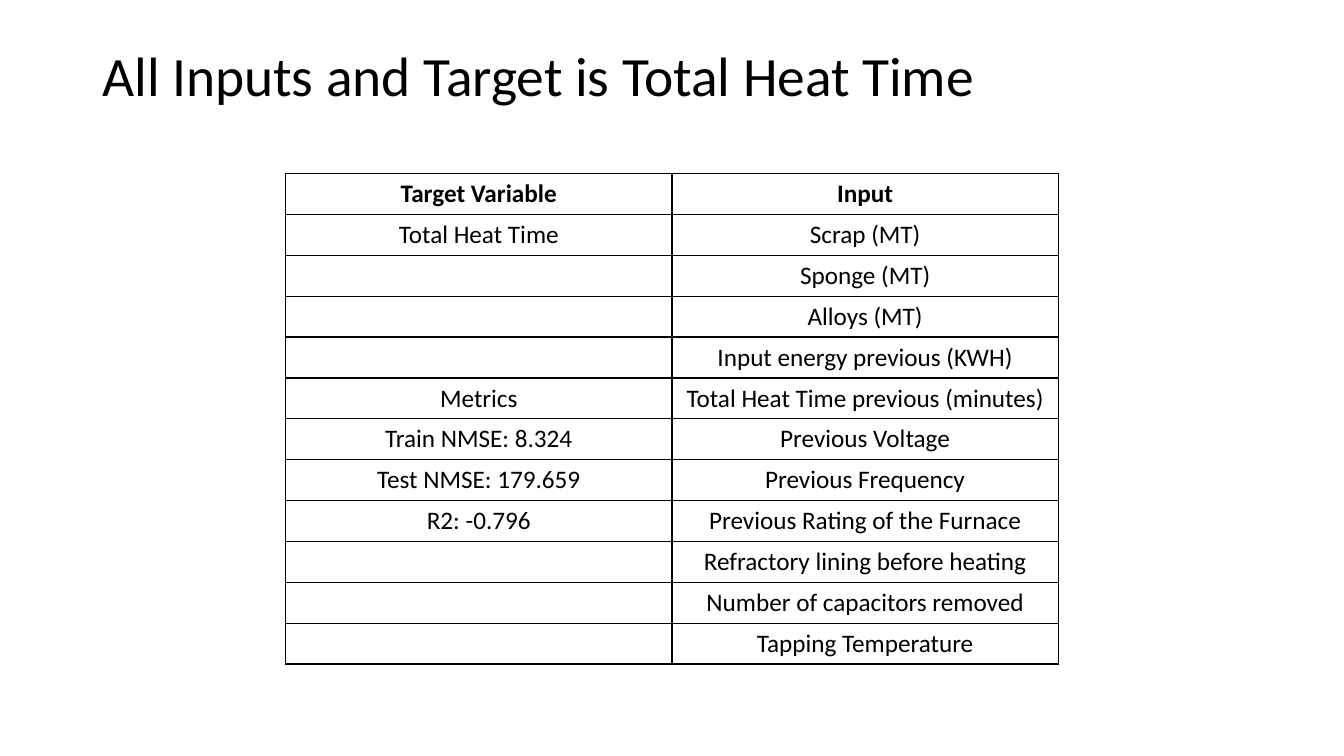
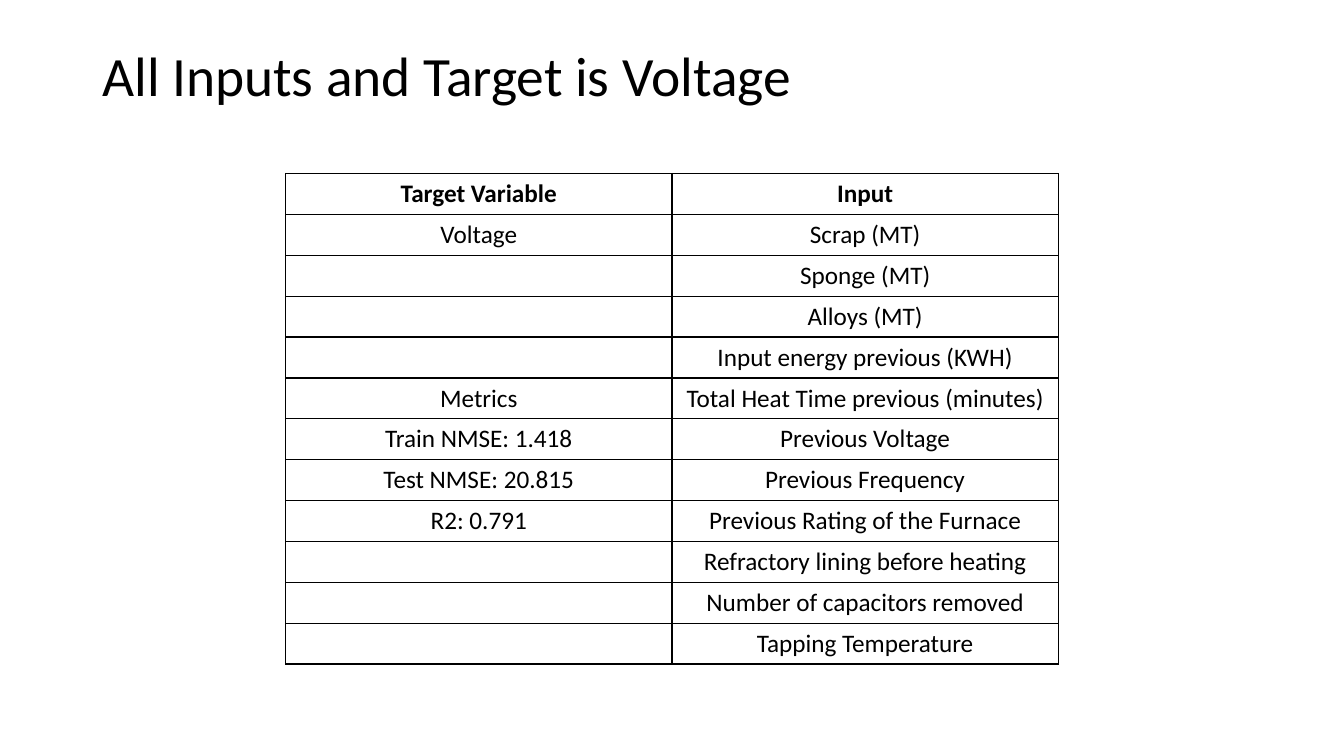
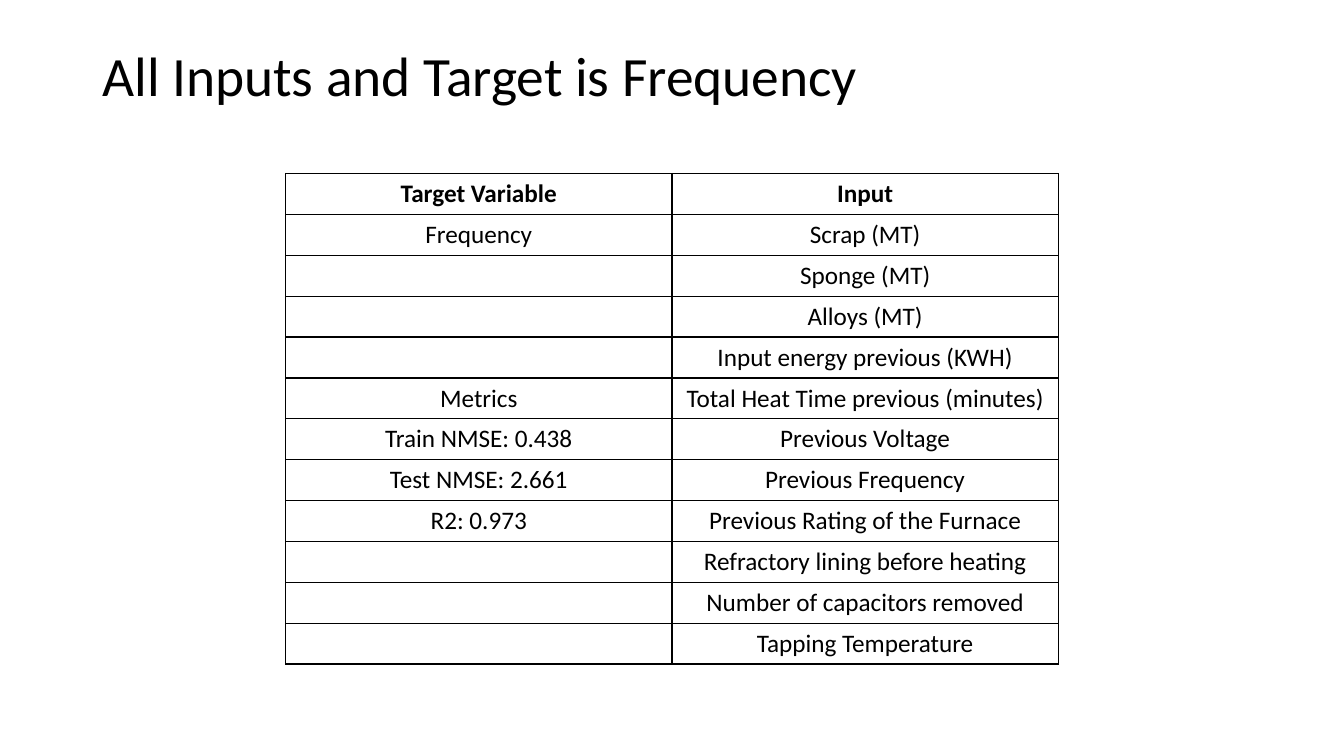
from itertools import zip_longest

from lxml.etree import SubElement
from pptx import Presentation
from pptx.dml.color import RGBColor
from pptx.enum.text import MSO_ANCHOR as Anchor, PP_ALIGN as Align
from pptx.oxml.ns import qn
from pptx.util import Pt

# Shared style
FONT = "Calibri"
BLACK = "000000"
BORDER_WIDTH = 1
TABLE_LEFT, TABLE_TOP = 204, 124
COLUMN_WIDTH, ROW_HEIGHT = 276, 29.2

# Content
INPUTS = [
    "Scrap (MT)",
    "Sponge (MT)",
    "Alloys (MT)",
    "Input energy previous (KWH)",
    "Total Heat Time previous (minutes)",
    "Previous Voltage",
    "Previous Frequency",
    "Previous Rating of the Furnace",
    "Refractory lining before heating",
    "Number of capacitors removed",
    "Tapping Temperature",
]
RESULTS = [
    ("Total Heat Time", "8.324", "179.659", "-0.796"),
    ("Voltage", "1.418", "20.815", "0.791"),
    ("Frequency", "0.438", "2.661", "0.973"),
]


def write(frame, text, size=18, bold=False, align=Align.LEFT, color=BLACK, spacing=1.0):
    para = frame.paragraphs[0]
    para.alignment = align
    para.line_spacing = spacing
    span = para.add_run()
    span.text = text
    span.font.name = FONT
    span.font.size = Pt(size)
    span.font.bold = bold
    span.font.color.rgb = RGBColor.from_string(color)


def add_borders(cell, color=BLACK):
    properties = cell._tc.get_or_add_tcPr()
    for side in ("a:lnL", "a:lnR", "a:lnT", "a:lnB"):
        line = SubElement(properties, qn(side), w=str(Pt(BORDER_WIDTH)))
        fill = SubElement(line, qn("a:solidFill"))
        SubElement(fill, qn("a:srgbClr"), val=color)


deck = Presentation()
deck.slide_width, deck.slide_height = Pt(960), Pt(540)

for target, train, test, r2 in RESULTS:
    page = deck.slides.add_slide(deck.slide_layouts[6])

    # Title
    box = page.shapes.add_textbox(Pt(66), Pt(28.8), Pt(828), Pt(54))
    box.text_frame.word_wrap = True
    box.text_frame.vertical_anchor = Anchor.MIDDLE
    write(box.text_frame, f"All Inputs and Target is {target}", size=39.6, spacing=0.9)

    # Target and metrics on the left, inputs on the right
    left_column = ["Target Variable", target, "", "", "", "Metrics",
                   f"Train NMSE: {train}", f"Test NMSE: {test}", f"R2: {r2}"]
    rows = list(zip_longest(left_column, ["Input", *INPUTS], fillvalue=""))
    table = page.shapes.add_table(
        len(rows), 2, Pt(TABLE_LEFT), Pt(TABLE_TOP),
        Pt(2 * COLUMN_WIDTH), Pt(len(rows) * ROW_HEIGHT)).table
    table.first_row = table.horz_banding = False
    for row_index, texts in enumerate(rows):
        table.rows[row_index].height = Pt(ROW_HEIGHT)
        for column_index, text in enumerate(texts):
            cell = table.cell(row_index, column_index)
            add_borders(cell)
            cell.fill.background()
            if text:
                write(cell.text_frame, text, bold=row_index == 0, align=Align.CENTER)

deck.save("out.pptx")
